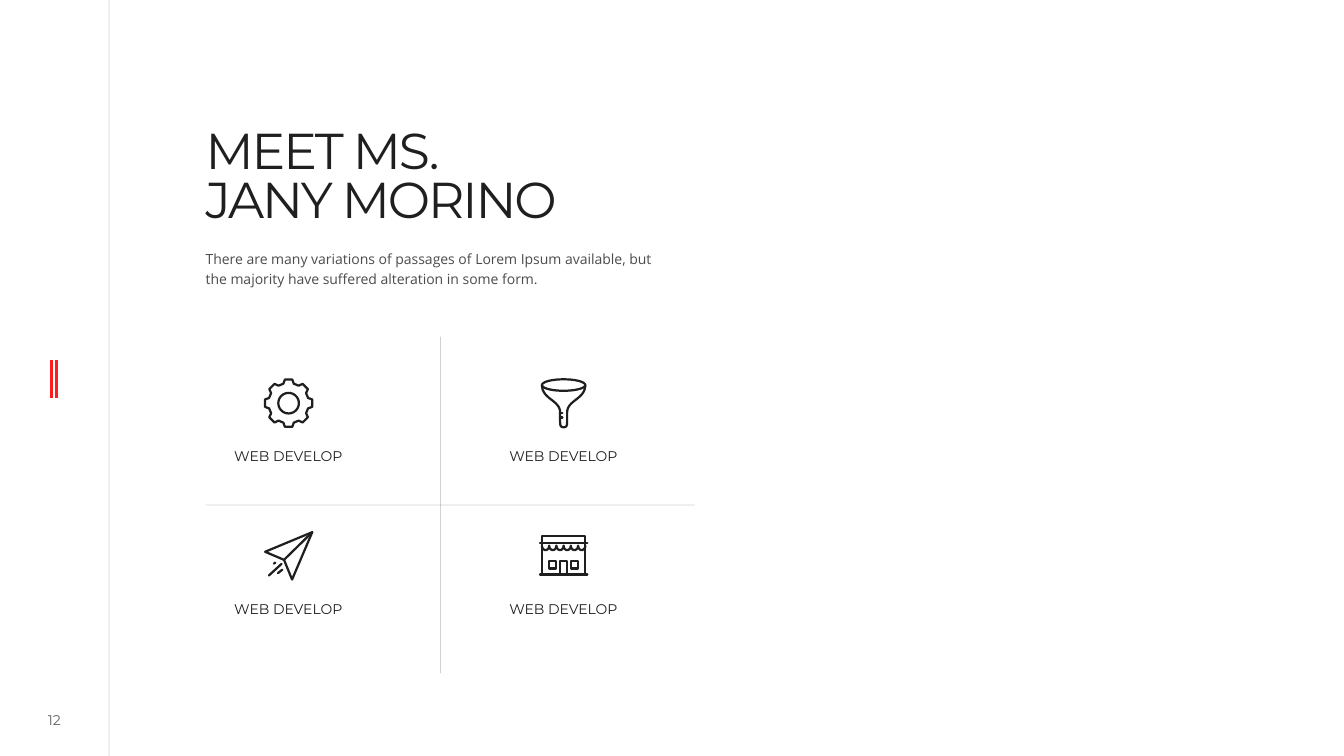
from math import cos, pi, radians, sin

from lxml import etree
from pptx import Presentation
from pptx import util as u
from pptx.dml import color
from pptx.enum import text
from pptx.oxml import ns

# Content
TITLE = ["MEET MS.", "JANY MORINO"]
INTRO = ("There are many variations of passages of Lorem Ipsum available, but "
         "the majority have suffered alteration in some form.")
SERVICES = [[("gear", "WEB DEVELOP"), ("funnel", "WEB DEVELOP")],
            [("plane", "WEB DEVELOP"), ("store", "WEB DEVELOP")]]
PAGE_NUMBER = "12"

# Look, with lengths in points
COLORS = {"ink": "1F1F1F", "accent": "FE1C1D"}
HEAD, BODY = "Montserrat", "Open Sans"
WIDTH, HEIGHT = 960, 540
TEXT_LEFT, TEXT_WIDTH = 146.9, 332.6
COLUMN_STEP = 196.5
ICON_LEFT, ICON_TOPS = 188.5, (270, 379.4)
LABEL_LEFT, LABEL_WIDTH, LABEL_TOPS = 97.2, 217.4, (319.7, 428.4)
ICON_UNIT, ICON_STROKE = 0.72, 1.6

deck = Presentation()
deck.slide_width, deck.slide_height = u.Pt(WIDTH), u.Pt(HEIGHT)
page = deck.slides.add_slide(deck.slide_layouts[6])


def set_color(fill, name, opacity=100):
    fill.solid()
    fill.fore_color.rgb = color.RGBColor.from_string(COLORS[name])
    if opacity < 100:
        tone = fill._xPr.find(".//" + ns.qn("a:srgbClr"))
        etree.SubElement(tone, ns.qn("a:alpha"), val=str(opacity * 1000))


def add_rule(x1, y1, x2, y2, name="ink", weight=0.5, opacity=20):
    rule = page.shapes.add_connector(1, *map(u.Pt, (x1, y1, x2, y2)))
    rule.line.width = u.Pt(weight)
    set_color(rule.line.fill, name, opacity)
    etree.SubElement(rule._element.spPr, ns.qn("a:effectLst"))


def add_text(lines, left, top, width, height, font=HEAD, size=10, opacity=100,
             align=text.PP_ALIGN.LEFT, anchor=text.MSO_ANCHOR.TOP,
             leading=1.0, inset=3.6, bottom=3.6, tracking=0):
    box = page.shapes.add_textbox(*map(u.Pt, (left, top, width, height)))
    frame = box.text_frame
    frame.word_wrap, frame.vertical_anchor = True, anchor
    frame.margin_left = frame.margin_right = 0
    frame.margin_top, frame.margin_bottom = u.Pt(inset), u.Pt(bottom)
    para = frame.paragraphs[0]
    para.alignment, para.line_spacing = align, leading
    for number, line in enumerate(lines):
        if number:
            para.add_line_break()
        span = para.add_run()
        span.text = line
        span.font.name, span.font.size = font, u.Pt(size)
        set_color(span.font.fill, "ink", opacity)
        if tracking:
            span._r.get_or_add_rPr().set("spc", str(round(tracking * 100)))


# Icon outlines on a grid 49 wide and 50 high: lists of points, closed if the ends meet
def arc(cx, cy, rx, ry, start=0, end=360, steps=36):
    angles = [radians(start + (end - start) * i / steps) for i in range(steps + 1)]
    return [(cx + rx * cos(a), cy + ry * sin(a)) for a in angles]


def curve(a, b, c, d, steps=16):
    return [tuple((1 - t) ** 3 * p + 3 * (1 - t) ** 2 * t * q
                  + 3 * (1 - t) * t * t * r + t ** 3 * s
                  for p, q, r, s in zip(a, b, c, d))
            for t in (i / steps for i in range(steps + 1))]


def ring(points):
    return points + points[:1]


def square(x, y, side):
    return ring([(x, y), (x + side, y), (x + side, y + side), (x, y + side)])


def gear():
    tooth = [(-15, 20), (-9, 23.7), (9, 23.7), (15, 20)]
    rim = [(24.5 + r * cos(pi / 4 * n + radians(a)), 25 + r * sin(pi / 4 * n + radians(a)))
           for n in range(8) for a, r in tooth]
    return [ring(rim), arc(24.5, 25, 10.2, 10.2)]


def funnel():
    side = (curve((3, 7), (3, 21), (21, 22), (21, 34))
            + curve((21, 40), (21, 47), (21, 48.8), (24.5, 48.8)))
    other = [(49 - x, y) for x, y in reversed(side)]
    ticks = [[(21, y), (23.3, y)] for y in (35, 39.3)]
    return [arc(24.5, 7, 21.5, 5.7), side + other] + ticks


def plane():
    nose, fold = (48, 1), (20, 28.5)
    return [ring([nose, (1.2, 20.5), fold, (28, 48)]), [fold, nose],
            [(17.5, 32.5), (5, 44)], [(18.3, 38.2), (14, 41.7)], [(11.3, 31.2), (10, 32.3)]]


def store():
    pitch = 43 / 6
    awning = [arc(3 + pitch * (n + 0.5), 14.5, pitch / 2, 4.3, 180, 0, 12) for n in range(6)]
    front = [(3, 43), (3, 5), (46, 5), (46, 43)]
    door = [(21, 43), (21, 30), (28, 30), (28, 43)]
    return [front, [(1, 12), (48, 12)], [(1, 43), (48, 43)], door,
            square(10, 30, 7), square(32, 30, 7)] + awning


ICONS = {"gear": gear, "funnel": funnel, "plane": plane, "store": store}


def add_icon(name, left, top):
    builder = None
    for outline in ICONS[name]():
        closed = outline[0] == outline[-1]
        points = [(u.Pt(left + x * ICON_UNIT), u.Pt(top + y * ICON_UNIT)) for x, y in outline]
        if builder is None:
            builder = page.shapes.build_freeform(*points[0])
        else:
            builder.move_to(*points[0])
        builder.add_line_segments(points[1:], close=closed)
    icon = builder.convert_to_shape()
    icon.shadow.inherit = False
    icon.fill.background()
    icon.line.width = u.Pt(ICON_STROKE)
    set_color(icon.line.fill, "ink")
    stroke = icon.line._get_or_add_ln()
    stroke.set("cap", "rnd")
    etree.SubElement(stroke, ns.qn("a:round"))


# Side rail with accent bars and page number
add_rule(77.8, 0, 77.8, HEIGHT)
for x in (36.7, 40.3):
    add_rule(x, 257, x, 284.4, name="accent", weight=2, opacity=100)
add_text([PAGE_NUMBER], 18.7, 505.4, 40.3, 18, opacity=70, inset=0, bottom=0,
         align=text.PP_ALIGN.CENTER, anchor=text.MSO_ANCHOR.MIDDLE)

# Heading and introduction
add_text(TITLE, TEXT_LEFT, 78.5, TEXT_WIDTH, 127.4, size=36, leading=0.8,
         inset=15.1, bottom=0, tracking=-1.5)
add_text([INTRO], TEXT_LEFT, 172.8, TEXT_WIDTH, 36, font=BODY, opacity=80, leading=1.2)

# Grid of services
add_rule(314.6, 240.5, 314.6, 481)
add_rule(TEXT_LEFT, 360.7, 496.1, 360.7)
for services, icon_top, label_top in zip(SERVICES, ICON_TOPS, LABEL_TOPS):
    for column, (icon, label) in enumerate(services):
        shift = column * COLUMN_STEP
        add_icon(icon, ICON_LEFT + shift, icon_top)
        add_text([label], LABEL_LEFT + shift, label_top, LABEL_WIDTH, 16.6,
                 align=text.PP_ALIGN.CENTER, leading=0.7)

deck.save("out.pptx")
